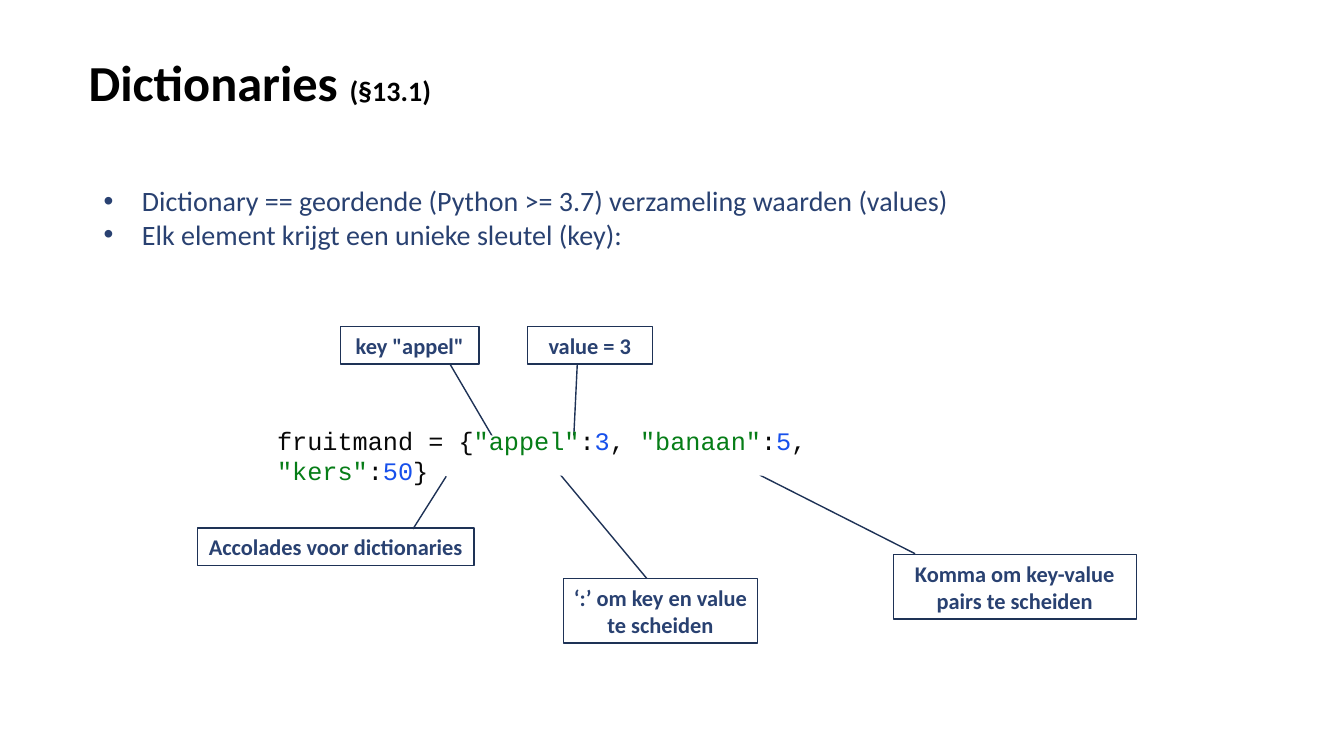
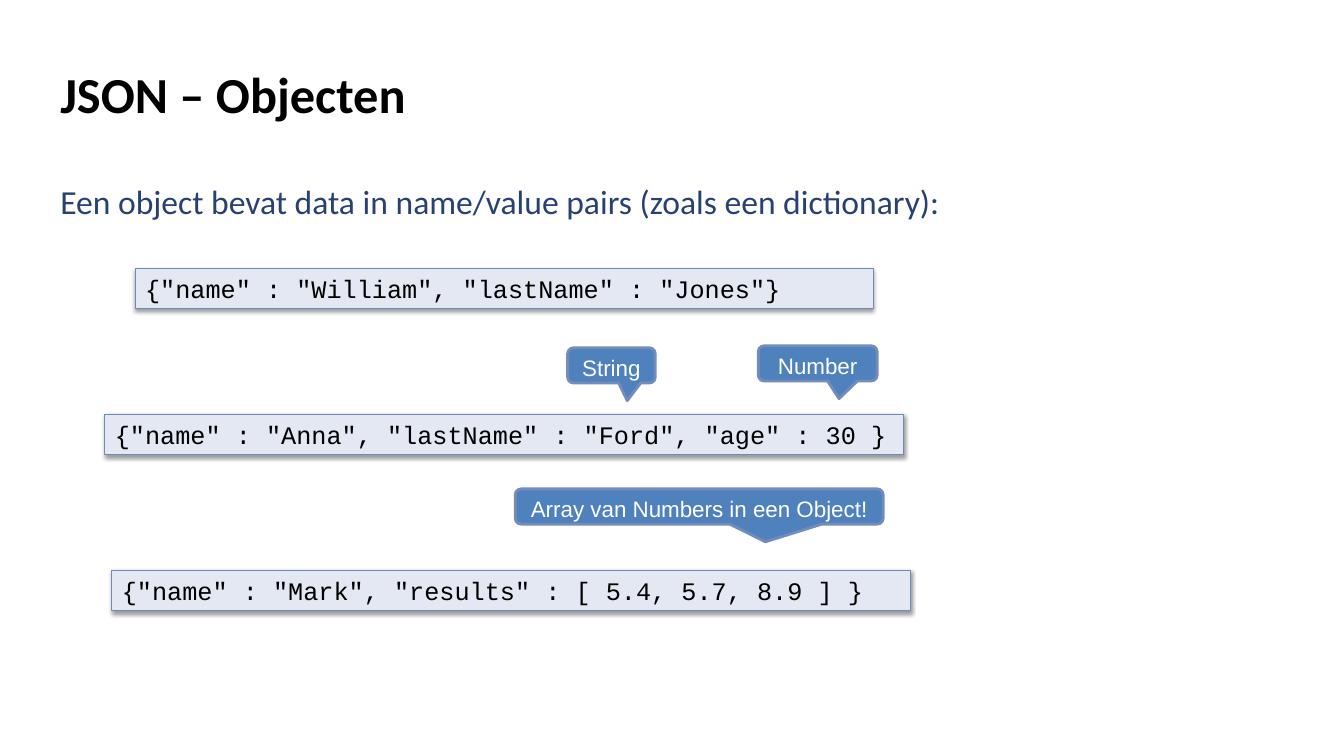
import dataclasses

import lxml.etree
import pptx
import pptx.dml.color
import pptx.enum.shapes
import pptx.enum.text
import pptx.oxml.ns
import pptx.util

Inches = pptx.util.Inches
Pt = pptx.util.Pt
Kind = pptx.enum.shapes.MSO_SHAPE
Align = pptx.enum.text.PP_ALIGN
Anchor = pptx.enum.text.MSO_ANCHOR
qn = pptx.oxml.ns.qn


@dataclasses.dataclass(frozen=True)
class Theme:
    # Colours
    black: str = "000000"
    white: str = "FFFFFF"
    navy: str = "294171"
    edge: str = "1E3256"
    pale: str = "E3E8F2"
    rim: str = "7088BA"
    blue: str = "4F81BD"
    ring: str = "748CBC"
    code: str = "080808"
    string: str = "067D17"
    number: str = "1750EB"
    # Fonts and type sizes
    sans: str = "Calibri"
    label: str = "Arial"
    mono: str = "Courier New"
    title: int = 36
    lead: int = 24
    body: int = 20
    script: int = 18
    note: int = 16


THEME = Theme()


def tint(name):
    return pptx.dml.color.RGBColor.from_string(name)


def write(shape, text, font=THEME.sans, size=THEME.body, color=THEME.navy,
          bold=False, align=Align.LEFT, anchor=Anchor.MIDDLE, bullet=None):
    """Fill a shape; text is a list of paragraphs, each a list of (words, changes)."""
    frame = shape.text_frame
    frame.word_wrap = True
    frame.vertical_anchor = anchor
    if isinstance(text, str):
        text = [[(text, {})]]
    for index, runs in enumerate(text):
        para = frame.add_paragraph() if index else frame.paragraphs[0]
        para.alignment = align
        if bullet:
            props = para._p.get_or_add_pPr()
            props.set("marL", str(Inches(0.38)))
            props.set("indent", str(Inches(-0.38)))
            lxml.etree.SubElement(props, qn("a:buFont"), typeface=THEME.label)
            lxml.etree.SubElement(props, qn("a:buChar"), char=bullet)
        for words, change in runs:
            run = para.add_run()
            run.text = words
            run.font.name = font
            run.font.size = Pt(change.get("size", size))
            run.font.bold = bold
            run.font.color.rgb = tint(change.get("color", color))


class Deck:
    def __init__(self, theme):
        self.theme = theme
        self.show = pptx.Presentation()
        self.show.slide_width = Inches(13.33)
        self.show.slide_height = Inches(7.5)
        self.slide = None

    def page(self):
        self.slide = self.show.slides.add_slide(self.show.slide_layouts[6])

    def text(self, box, text, **style):
        shape = self.slide.shapes.add_textbox(*map(Inches, box))
        write(shape, text, **style)

    def title(self, box, text):
        self.text(box, text, size=self.theme.title, color=self.theme.black, bold=True)

    def shape(self, kind, box, fill=None, line=None, width=1, adjust=()):
        shape = self.slide.shapes.add_shape(kind, *map(Inches, box))
        shape.shadow.inherit = False
        for index, value in enumerate(adjust):
            shape.adjustments[index] = value
        if fill:
            shape.fill.solid()
            shape.fill.fore_color.rgb = tint(fill)
        else:
            shape.fill.background()
        if line:
            shape.line.color.rgb = tint(line)
            shape.line.width = Pt(width)
        else:
            shape.line.fill.background()
        return shape

    def note(self, box, text, adjust):
        """Outlined label with a leader line."""
        shape = self.shape(Kind.LINE_CALLOUT_1, box, line=self.theme.edge, adjust=adjust)
        write(shape, text, size=self.theme.note, bold=True, align=Align.CENTER)

    def bubble(self, box, text):
        """Blue speech bubble pointing down."""
        shape = self.shape(Kind.ROUNDED_RECTANGULAR_CALLOUT, box, self.theme.blue,
                           self.theme.ring, 2, (0.18, 1, 0.17))
        write(shape, text, font=self.theme.label, size=self.theme.note,
              color=self.theme.white, align=Align.CENTER, anchor=Anchor.TOP)

    def code(self, box, text):
        """Plain white code strip."""
        shape = self.shape(Kind.RECTANGLE, box, self.theme.white)
        write(shape, text, font=self.theme.mono, size=self.theme.script,
              color=self.theme.code)

    def bar(self, box, text):
        """Tinted code strip with a soft shadow below."""
        shape = self.shape(Kind.RECTANGLE, box, self.theme.pale, self.theme.rim, 0.75)
        effects = shape._element.spPr.find(qn("a:effectLst"))
        shade = lxml.etree.SubElement(
            effects, qn("a:outerShdw"), blurRad=str(Pt(3.1)), dist=str(Pt(1.6)),
            dir="5400000", rotWithShape="0")
        color = lxml.etree.SubElement(shade, qn("a:srgbClr"), val=self.theme.black)
        lxml.etree.SubElement(color, qn("a:alpha"), val="38000")
        write(shape, text, font=self.theme.mono, size=self.theme.script,
              color=self.theme.black)


def dicts(deck):
    theme = deck.theme
    deck.page()
    deck.title((0.78, 0, 8.5, 1.61),
               [[("Dictionaries ", {}), ("(§13.1)", {"size": theme.body})]])
    deck.text((0.93, 1.77, 11.47, 0.77), [
        [("Dictionary == geordende (Python >= 3.7) verzameling waarden (values)", {})],
        [("Elk element krijgt een unieke sleutel (key):", {})],
    ], bullet="•")

    # Labels: box, words, leader start and end as shares of the box (y, x, y, x)
    notes = [
        ((8.86, 5.5, 2.41, 0.64), "Komma om key-value pairs te scheiden",
         (-0.01, 0.09, -1.23, -0.55)),
        ((3.38, 3.24, 1.37, 0.37), 'key "appel"', (1, 0.79, 2.96, 1.1)),
        ((5.23, 3.24, 1.24, 0.37), "value = 3", (1, 0.4, 3.1, 0.37)),
        ((1.96, 5.24, 2.74, 0.37), "Accolades voor dictionaries",
         (0.02, 0.78, -1.39, 0.9)),
        ((5.59, 5.74, 1.92, 0.64), "‘:’ om key en value te scheiden",
         (0, 0.43, -1.62, -0.02)),
    ]
    for box, words, leader in notes:
        deck.note(box, words, leader)

    # Coloured code line, laid over the leader ends
    runs = [("fruitmand = {", {})]
    fruit = [("appel", 3, ", "), ("banaan", 5, ", "), ("kers", 50, "}")]
    for key, value, end in fruit:
        runs += [(f'"{key}"', {"color": theme.string}), (":", {}),
                 (str(value), {"color": theme.number}), (end, {})]
    deck.code((2.65, 4.32, 6.57, 0.4), [runs])


def objects(deck):
    deck.page()
    deck.title((0.5, 0.3, 9, 1.25), "JSON – Objecten")
    deck.text((0.5, 1.75, 10.46, 0.6),
              "Een object bevat data in name/value pairs (zoals een dictionary):",
              size=deck.theme.lead, anchor=Anchor.TOP)

    # Speech bubbles
    for left, top, width, words in [
        (5.63, 3.45, 0.87, "String"),
        (7.52, 3.43, 1.18, "Number"),
        (5.11, 4.85, 3.65, "Array van Numbers in een Object!"),
    ]:
        deck.bubble((left, top, width, 0.35), words)

    # Code bars
    for left, top, width, words in [
        (1.34, 2.66, 7.32, '{"name" : "William", "lastName" : "Jones"}'),
        (1.04, 4.11, 7.92, '{"name" : "Anna", "lastName" : "Ford", "age" : 30 }'),
        (1.11, 5.66, 7.92, '{"name" : "Mark", "results" : [ 5.4, 5.7, 8.9 ] }'),
    ]:
        deck.bar((left, top, width, 0.4), words)


def main():
    deck = Deck(THEME)
    dicts(deck)
    objects(deck)
    deck.show.save("out.pptx")


if __name__ == "__main__":
    main()
